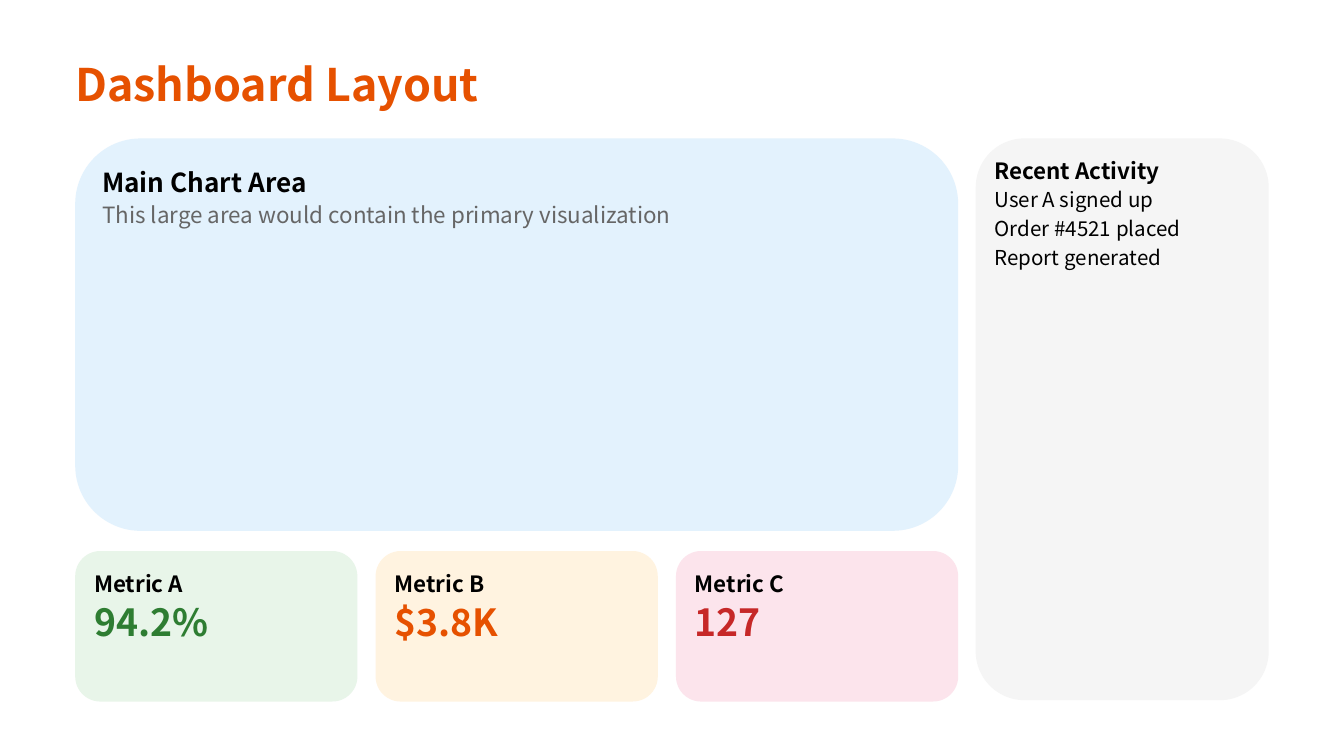
"""Build a dashboard layout slide with a chart area, three metrics and an activity panel."""
from dataclasses import dataclass

from pptx import Presentation
from pptx.dml.color import RGBColor
from pptx.enum.shapes import MSO_SHAPE
from pptx.enum.text import MSO_ANCHOR
from pptx.slide import Slide
from pptx.util import Inches, Pt

ROUNDED = MSO_SHAPE.ROUNDED_RECTANGLE
TOP = MSO_ANCHOR.TOP
FONT = "Noto Sans CJK SC"

BLACK = RGBColor(0x00, 0x00, 0x00)
GRAY = RGBColor(0x66, 0x66, 0x66)
ORANGE = RGBColor(0xE6, 0x51, 0x00)
GREEN = RGBColor(0x2E, 0x7D, 0x32)
RED = RGBColor(0xC6, 0x28, 0x28)
PALE_BLUE = RGBColor(0xE3, 0xF2, 0xFD)
PALE_GREEN = RGBColor(0xE8, 0xF5, 0xE9)
PALE_ORANGE = RGBColor(0xFF, 0xF3, 0xE0)
PALE_PINK = RGBColor(0xFC, 0xE4, 0xEC)
PALE_GRAY = RGBColor(0xF5, 0xF5, 0xF5)

SLIDE_WIDTH = 10
SLIDE_HEIGHT = SLIDE_WIDTH * 9 / 16
MARGIN = 0.56
PANEL_TOP = 1.03
CHART_WIDTH = 6.57
METRIC_TOP = 4.1
METRIC_WIDTH = 2.1


@dataclass(frozen=True)
class Line:
    text: str
    top: float
    height: float
    size: int
    color: RGBColor = BLACK
    bold: bool = False


@dataclass(frozen=True)
class Card:
    left: float
    top: float
    width: float
    height: float
    fill: RGBColor
    padding: float
    lines: tuple[Line, ...]


@dataclass(frozen=True)
class Metric:
    label: str
    value: str
    color: RGBColor
    fill: RGBColor


TITLE = Line("Dashboard Layout", 0.42, 0.47, 24, ORANGE, True)

MAIN_CHART = Card(MARGIN, PANEL_TOP, CHART_WIDTH, 2.92, PALE_BLUE, 0.2, (
    Line("Main Chart Area", 1.24, 0.29, 14, bold=True),
    Line("This large area would contain the primary visualization", 1.5, 0.24, 12, GRAY),
))

ACTIVITY = Card(7.26, PANEL_TOP, 2.18, 4.18, PALE_GRAY, 0.14, (
    Line("Recent Activity", 1.17, 0.25, 12, bold=True),
    Line("User A signed up", 1.39, 0.22, 11),
    Line("Order #4521 placed", 1.61, 0.24, 11),
    Line("Report generated", 1.82, 0.22, 11),
))

METRICS = (
    Metric("Metric A", "94.2%", GREEN, PALE_GREEN),
    Metric("Metric B", "$3.8K", ORANGE, PALE_ORANGE),
    Metric("Metric C", "127", RED, PALE_PINK),
)
METRIC_STEP = (CHART_WIDTH - METRIC_WIDTH) / (len(METRICS) - 1)


def metric_card(index: int, metric: Metric) -> Card:
    """Place a metric in its column of the bottom row."""
    lines = (
        Line(metric.label, 4.24, 0.25, 12, bold=True),
        Line(metric.value, 4.46, 0.39, 20, metric.color, True),
    )
    left = MARGIN + index * METRIC_STEP
    return Card(left, METRIC_TOP, METRIC_WIDTH, 1.12, metric.fill, 0.14, lines)


def add_line(page: Slide, line: Line, left: float, width: float) -> None:
    """Add one line of text in its own box."""
    box = page.shapes.add_textbox(
        Inches(left), Inches(line.top), Inches(width), Inches(line.height))
    frame = box.text_frame
    frame.word_wrap = True
    frame.vertical_anchor = TOP
    frame.margin_left = frame.margin_right = Inches(0)
    frame.margin_top = frame.margin_bottom = Inches(0)
    span = frame.paragraphs[0].add_run()
    span.text = line.text
    span.font.name = FONT
    span.font.size = Pt(line.size)
    span.font.bold = line.bold
    span.font.color.rgb = line.color


def add_card(page: Slide, card: Card) -> None:
    """Add a rounded panel and the lines of text on it."""
    panel = page.shapes.add_shape(
        ROUNDED, Inches(card.left), Inches(card.top), Inches(card.width), Inches(card.height))
    panel.shadow.inherit = False
    panel.fill.solid()
    panel.fill.fore_color.rgb = card.fill
    panel.line.fill.background()
    for line in card.lines:
        add_line(page, line, card.left + card.padding, card.width - 2 * card.padding)


def main() -> None:
    """Build and save the deck."""
    deck = Presentation()
    deck.slide_width = Inches(SLIDE_WIDTH)
    deck.slide_height = Inches(SLIDE_HEIGHT)
    page = deck.slides.add_slide(deck.slide_layouts[6])
    add_line(page, TITLE, MARGIN, 8.89)
    metric_cards = [metric_card(index, metric) for index, metric in enumerate(METRICS)]
    for card in (MAIN_CHART, *metric_cards, ACTIVITY):
        add_card(page, card)
    deck.save("out.pptx")


if __name__ == "__main__":
    main()
